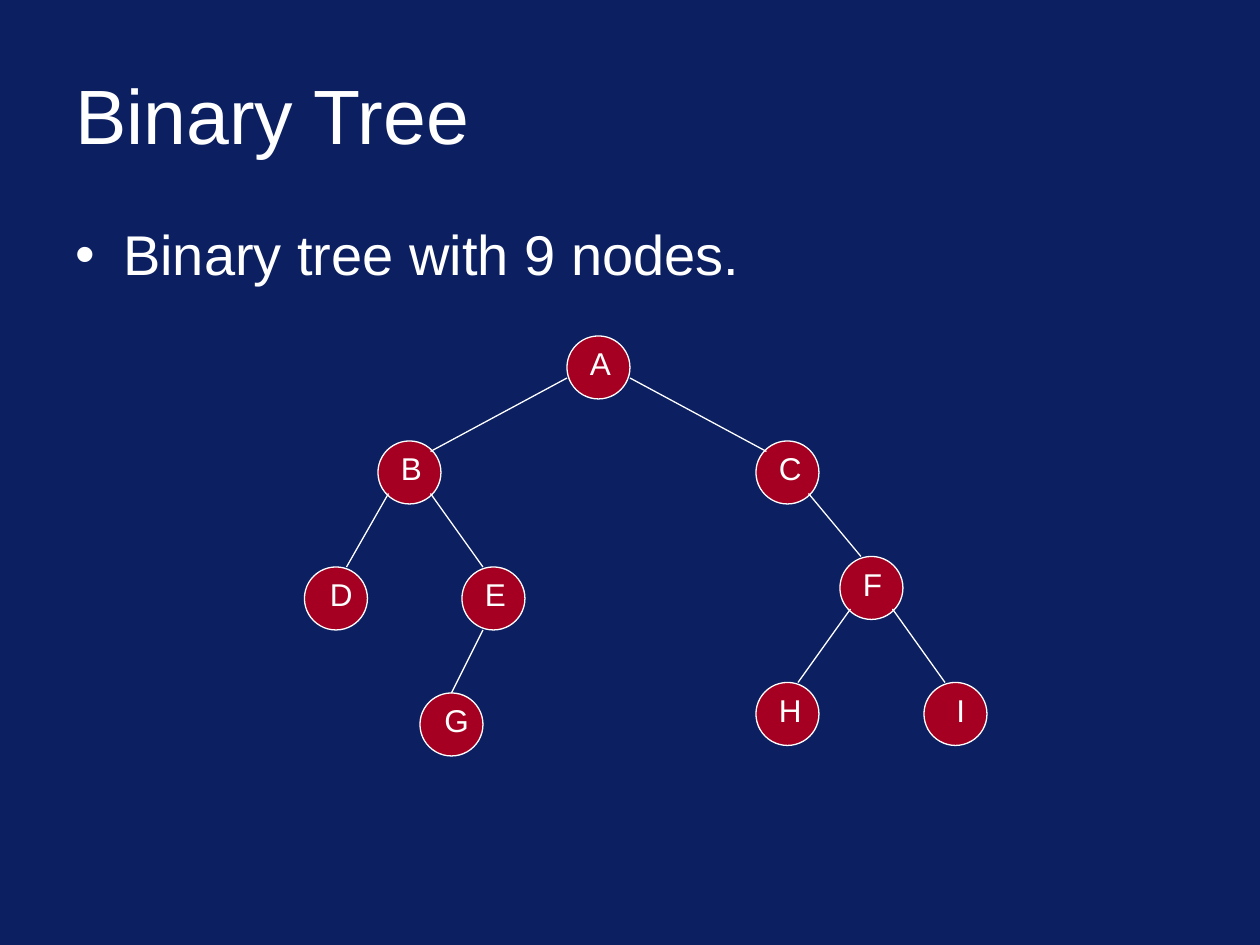
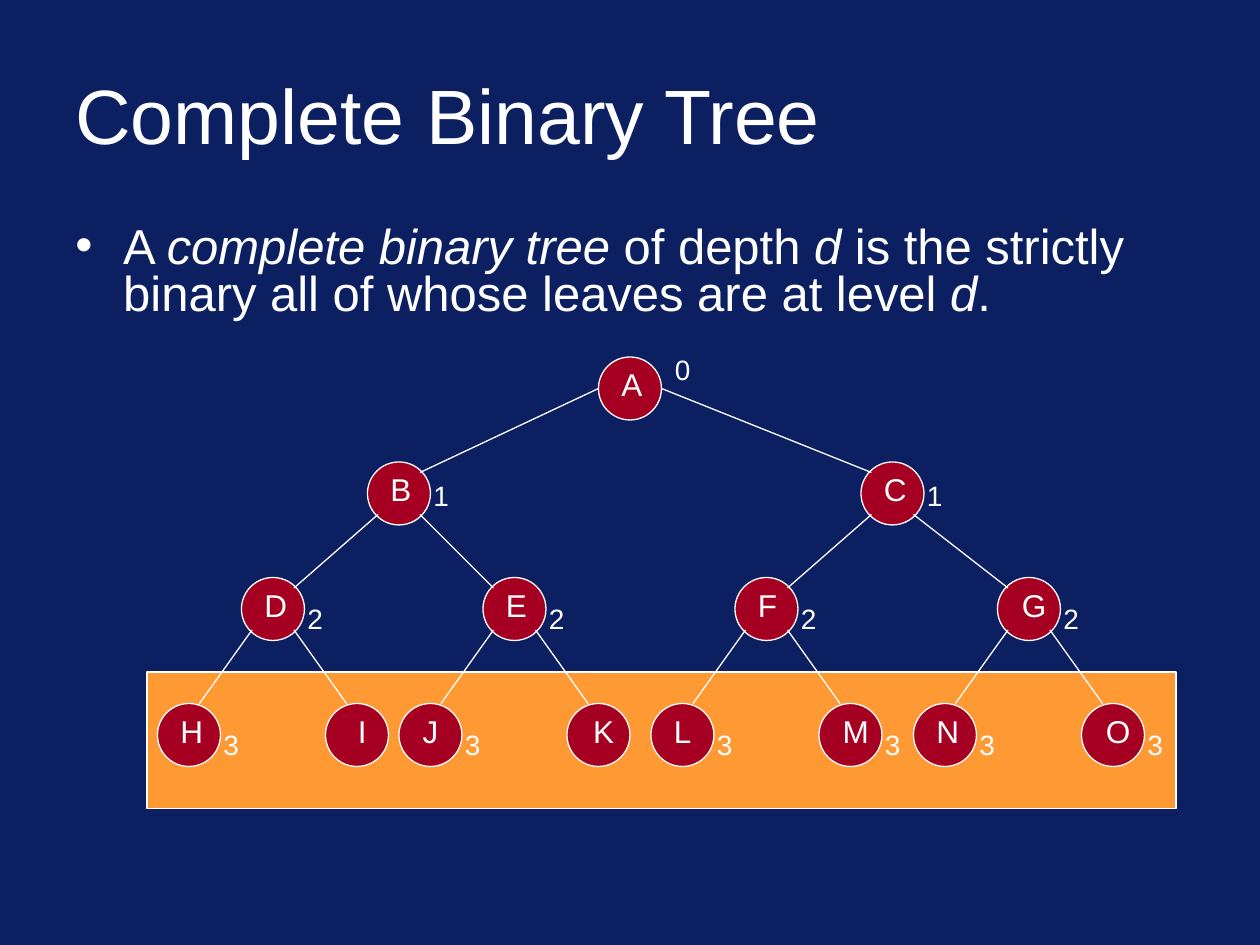
"""Build two slides about binary trees on a grid of twelfths of an inch."""
from dataclasses import dataclass

from lxml.etree import SubElement
from pptx import Presentation
from pptx.dml.color import RGBColor
from pptx.enum.shapes import MSO_CONNECTOR, MSO_SHAPE
from pptx.enum.text import MSO_ANCHOR, MSO_AUTO_SIZE, PP_ALIGN
from pptx.oxml.ns import qn
from pptx.util import Inches, Pt


@dataclass(frozen=True)
class Theme:
    background: RGBColor = RGBColor(0x0B, 0x1F, 0x61)
    ink: RGBColor = RGBColor(0xFF, 0xFF, 0xFF)
    node: RGBColor = RGBColor(0xA5, 0x00, 0x21)
    band: RGBColor = RGBColor(0xFF, 0x99, 0x33)
    font: str = "Arial"
    title_size: int = 44
    letter_size: int = 18
    level_size: int = 16
    line_width: float = 0.75


THEME = Theme()
WIDTH, HEIGHT = 10, 7.5
UNITS_PER_INCH = 12
NODE = 6
TITLE_BOX = (6, 4.8, 108, 12)
BODY_LEFT, BODY_TOP, BODY_WIDTH = 6, 21, 108
HANGING_INDENT = 0.38
LEVEL_OFFSETS = [(6.1, -1), (5.1, 1), (5.1, 1.67), (5.1, 1.67)]
LEAF_LINK = ((1, 5), (4, 0))

SLIDES = [
    {
        "title": "Binary Tree",
        "body": [("Binary tree with 9 nodes.", False)],
        "body_size": 32,
        "body_spacing": 0.9,
        "body_height": 7,
        "band": None,
        "nodes": [
            ("A", None, 54, 32),
            ("B", "A", 36, 42), ("C", "A", 72, 42),
            ("D", "B", 29, 54), ("E", "B", 44, 54), ("F", "C", 80, 53),
            ("G", "E", 40, 66), ("H", "F", 72, 65), ("I", "F", 88, 65),
        ],
        "links": {"A": ((0, 4), (5, 1)), "E": ((2, 6), (3, 0))},
        "wide_letters": "DGI",
        "level_letters": "",
    },
    {
        "title": "Complete Binary Tree",
        "body": [
            ("A ", False), ("complete binary tree", True), (" of depth ", False), ("d", True),
            (" is the strictly binary all of whose leaves are at level ", False),
            ("d", True), (".", False),
        ],
        "body_size": 28,
        "body_spacing": 0.8,
        "body_height": 11,
        "band": (14, 64, 98, 13),
        "nodes": [
            ("A", None, 57, 34),
            ("B", "A", 35, 44), ("C", "A", 82, 44),
            ("D", "B", 23, 55), ("E", "B", 46, 55), ("F", "C", 70, 55), ("G", "C", 95, 55),
            ("H", "D", 15, 67), ("I", "D", 31, 67), ("J", "E", 38, 67), ("K", "E", 54, 67),
            ("L", "F", 62, 67), ("M", "F", 78, 67), ("N", "G", 87, 67), ("O", "G", 103, 67),
        ],
        "links": {
            "A": ((0, 3), (5, 1)),
            "B": ((1, 5), (5, 1)),
            "C": ((1, 5), (5, 1)),
        },
        "wide_letters": "GIKMO",
        "level_letters": "ABCDEFGHJLMNO",
    },
]


def grid(*units):
    return [Inches(unit / UNITS_PER_INCH) for unit in units]


def style_font(font, size):
    font.name, font.size = THEME.font, Pt(size)
    font.color.rgb = THEME.ink


def add_text(slide, box, text, size):
    frame = slide.shapes.add_textbox(*grid(*box)).text_frame
    frame.word_wrap = True
    paragraph = frame.paragraphs[0]
    paragraph.text = text
    style_font(paragraph.font, size)
    return frame


def add_label(slide, box, text, size, wrap):
    frame = add_text(slide, box, text, size)
    frame.word_wrap = wrap
    frame.auto_size = MSO_AUTO_SIZE.SHAPE_TO_FIT_TEXT
    frame.paragraphs[0].alignment = PP_ALIGN.CENTER


def add_filled(slide, kind, box, color):
    shape = slide.shapes.add_shape(kind, *grid(*box))
    shape.shadow.inherit = False
    shape.fill.solid()
    shape.fill.fore_color.rgb = color
    shape.line.color.rgb = THEME.ink
    shape.line.width = Pt(THEME.line_width)


def add_body(slide, content):
    box = (BODY_LEFT, BODY_TOP, BODY_WIDTH, content["body_height"])
    frame = slide.shapes.add_textbox(*grid(*box)).text_frame
    frame.word_wrap = True
    paragraph = frame.paragraphs[0]
    paragraph.line_spacing = content["body_spacing"]
    properties = paragraph._p.get_or_add_pPr()
    properties.set("marL", str(Inches(HANGING_INDENT)))
    properties.set("indent", str(-Inches(HANGING_INDENT)))
    color = SubElement(properties, qn("a:buClr"))
    SubElement(color, qn("a:srgbClr"), val=str(THEME.ink))
    SubElement(properties, qn("a:buFont"), typeface=THEME.font)
    SubElement(properties, qn("a:buChar"), char="•")
    style_font(paragraph.font, content["body_size"])
    for text, italic in content["body"]:
        run = paragraph.add_run()
        run.text = text
        run.font.italic = italic


def add_link(slide, parent, child, link):
    """Join two nodes; a right child mirrors the offsets of a left one."""
    start, end = link
    if child[0] > parent[0]:
        start, end = [(NODE - x, y) for x, y in link]
    points = grid(parent[0] + start[0], parent[1] + start[1], child[0] + end[0], child[1] + end[1])
    connector = slide.shapes.add_connector(MSO_CONNECTOR.STRAIGHT, *points)
    connector.line.color.rgb = THEME.ink
    connector.line.width = Pt(THEME.line_width)
    SubElement(connector._element.spPr, qn("a:effectLst"))


def add_tree(slide, content):
    places, depths = {}, {}
    for letter, parent, column, row in content["nodes"]:
        places[letter] = (column, row)
        depths[letter] = depths[parent] + 1 if parent else 0
        add_filled(slide, MSO_SHAPE.OVAL, (column, row, NODE, NODE), THEME.node)
        width = 5 if letter in content["wide_letters"] else 4
        add_label(slide, (column + 1, row + 0.2, width, 4.8), letter, THEME.letter_size, True)
        if parent:
            link = content["links"].get(parent, LEAF_LINK)
            add_link(slide, places[parent], places[letter], link)
    for letter in content["level_letters"]:
        column, row = places[letter]
        across, down = LEVEL_OFFSETS[depths[letter]]
        box = (column + across, row + down, 3.84, 4.44)
        add_label(slide, box, str(depths[letter]), THEME.level_size, False)


def main():
    presentation = Presentation()
    presentation.slide_width, presentation.slide_height = Inches(WIDTH), Inches(HEIGHT)
    for content in SLIDES:
        slide = presentation.slides.add_slide(presentation.slide_layouts[6])
        slide.background.fill.solid()
        slide.background.fill.fore_color.rgb = THEME.background
        if content["band"]:
            add_filled(slide, MSO_SHAPE.RECTANGLE, content["band"], THEME.band)
        title = add_text(slide, TITLE_BOX, content["title"], THEME.title_size)
        title.vertical_anchor = MSO_ANCHOR.MIDDLE
        add_body(slide, content)
        add_tree(slide, content)
    presentation.save("out.pptx")


if __name__ == "__main__":
    main()
